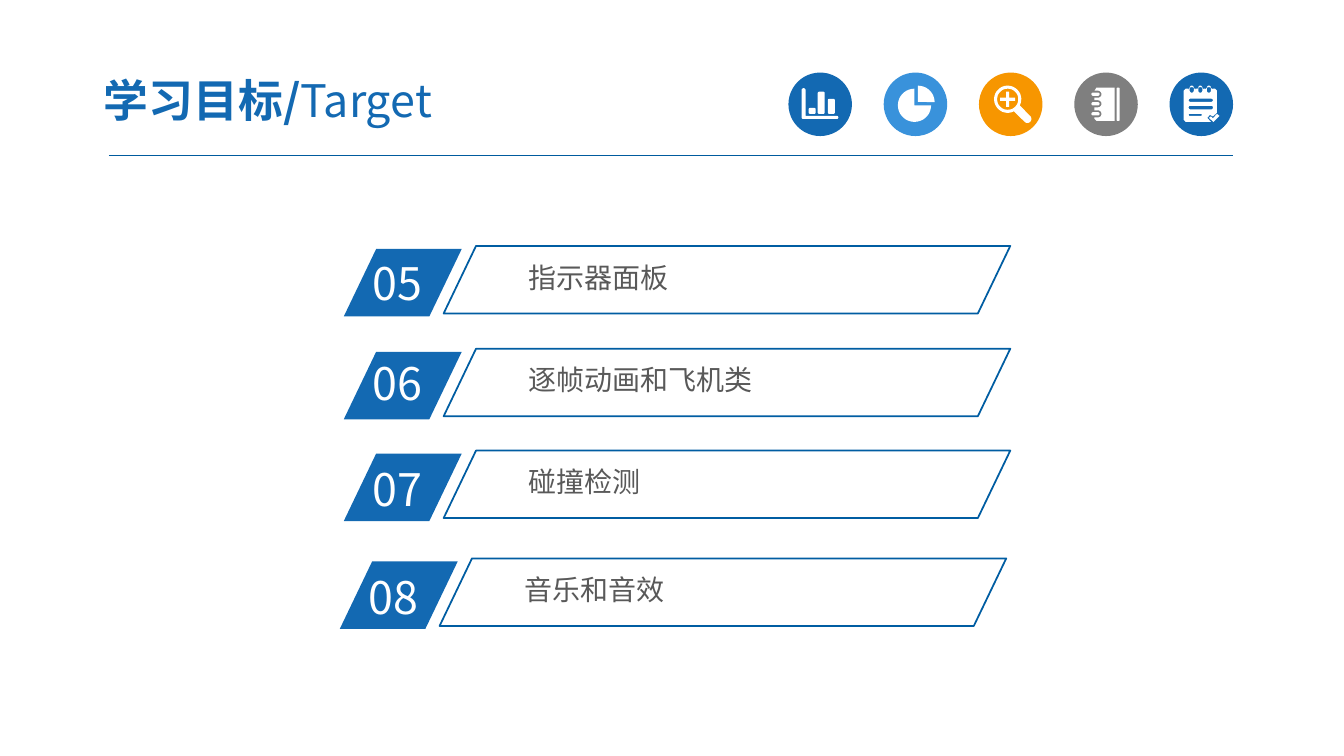
import math

import pptx
import pptx.util
import pptx.dml.color
import pptx.enum.shapes
import pptx.enum.text
import pptx.oxml.ns
from lxml import etree

RGBColor = pptx.dml.color.RGBColor
Inches = pptx.util.Inches
Pt = pptx.util.Pt
Kind = pptx.enum.shapes.MSO_SHAPE

BLUE = RGBColor(0x13, 0x69, 0xB2)
SKY = RGBColor(0x39, 0x92, 0xDB)
ORANGE = RGBColor(0xF7, 0x96, 0x00)
GRAY = RGBColor(0x7F, 0x7F, 0x7F)
TEXT_GRAY = RGBColor(0x59, 0x59, 0x59)
OUTLINE = RGBColor(0x00, 0x5D, 0xA2)
RULE = RGBColor(0x00, 0x5B, 0x9E)
WHITE = RGBColor(0xFF, 0xFF, 0xFF)
FONT = "Noto Sans CJK SC"

TITLE = [("学习目标/", True), ("Target", False)]

# number, label, left of the row, top of the row, drop of the number
GOALS = [
    ("05", "指示器面板", 3.41, 2.44, 0.05),
    ("06", "逐帧动画和飞机类", 3.41, 3.46, 0.02),
    ("07", "碰撞检测", 3.41, 4.47, 0.06),
    ("08", "音乐和音效", 3.37, 5.54, 0.06),
]

ICON_LEFT, ICON_TOP, ICON_SIZE, ICON_PITCH = 7.82, 0.72, 0.63, 0.945
NOTEBOOK_RINGS = (21.5, 31, 41)
NOTEPAD_RINGS = (22, 30.5, 39)


def arc(x, y, radius, start, end):
    """Points along an arc around (x, y); degrees run clockwise from the right."""
    steps = max(4, round(abs(end - start) / 10))
    angles = [math.radians(start + (end - start) * i / steps)
              for i in range(steps + 1)]
    return [(x + radius * math.cos(a), y + radius * math.sin(a)) for a in angles]


def rounded(left, top, width, height, radius=1.5):
    right, bottom = left + width - radius, top + height - radius
    left, top = left + radius, top + radius
    return (arc(left, top, radius, 180, 270) + arc(right, top, radius, 270, 360)
            + arc(right, bottom, radius, 0, 90) + arc(left, bottom, radius, 90, 180))


# Icon contours in hundredths of an inch inside the disc
CHART = [
    arc(15, 17.5, 2, 180, 360) + [(17, 43)] + arc(48, 44.5, 1.5, -90, 90)
    + arc(14.5, 44.5, 1.5, 90, 180),
    rounded(20, 35, 7, 6), rounded(29, 19, 7, 22), rounded(39, 26, 7, 15),
]
PIE = [
    [(34, 29)] + arc(34, 29.5, 16.5, -90, 0),
    [(30.5, 32.5)] + arc(30.5, 32.5, 16.5, 0, 270),
]
MAGNIFIER = [
    arc(28.5, 26.5, 13.5, 63, 387) + arc(48, 46, 4, -45, 135),
    arc(28.5, 26.5, 10.5, 0, 360),
    [(27, 19), (30, 19), (30, 25), (36, 25), (36, 28), (30, 28),
     (30, 34), (27, 34), (27, 28), (21, 28), (21, 25), (27, 25)],
]
notebook_body = [(22, 15), (40, 15), (40, 48), (22, 48), (20, 46)]
for ring in reversed(NOTEBOOK_RINGS):
    notebook_body += [(20, ring + 3.5), *arc(23.5, ring, 3.5, 90, -90),
                      (20, ring - 3.5)]
NOTEBOOK = [notebook_body, rounded(42, 15, 3, 33, 1)]
NOTEBOOK += [rounded(17, ring - 1.6, 8, 3.2) for ring in NOTEBOOK_RINGS]

notepad_body = [(14, 18), (16, 16)]
for ring in NOTEPAD_RINGS:
    notepad_body += [(ring - 3.5, 16), *arc(ring, 18, 3.5, 180, 360),
                     (ring + 3.5, 16)]
notepad_body += [(45, 16), (47, 18), (47, 40), (43, 43.5), (40, 42),
                 (37.5, 45), (41, 49), (16, 49), (14, 47)]
NOTEPAD = [
    notepad_body,
    rounded(19, 26, 24, 3), rounded(19, 33, 24, 3.5),
    rounded(19, 41, 13, 2, 1),
    [(39, 45), (41, 43.5), (43, 45.5), (47, 41), (49.5, 43), (43.5, 49)],
]
NOTEPAD += [rounded(ring - 2, 13, 4, 7, 2) for ring in NOTEPAD_RINGS]
ICONS = [(BLUE, CHART), (SKY, PIE), (ORANGE, MAGNIFIER),
         (GRAY, NOTEBOOK), (BLUE, NOTEPAD)]


def paint(shape, fill=None, line=None):
    shape.shadow.inherit = False
    if fill is None:
        shape.fill.background()
    else:
        shape.fill.solid()
        shape.fill.fore_color.rgb = fill
    if line is None:
        shape.line.fill.background()
    else:
        shape.line.color.rgb = line
        shape.line.width = Pt(1.25)


def add_shape(kind, left, top, width, height, fill=None, line=None):
    shape = page.shapes.add_shape(
        kind, Inches(left), Inches(top), Inches(width), Inches(height))
    paint(shape, fill, line)
    return shape


def add_span(para, text, size, colour, bold=False):
    span = para.add_run()
    span.text = text
    span.font.size = Pt(size)
    span.font.bold = bold
    span.font.color.rgb = colour
    span.font.name = FONT
    east_asian = etree.SubElement(span.font._element, pptx.oxml.ns.qn("a:ea"))
    east_asian.set("typeface", FONT)


def set_insets(frame, side, end):
    frame.margin_left = frame.margin_right = Inches(side)
    frame.margin_top = frame.margin_bottom = Inches(end)


def add_text(text, left, top, width, height, size, colour, insets):
    box = page.shapes.add_textbox(
        Inches(left), Inches(top), Inches(width), Inches(height))
    frame = box.text_frame
    frame.word_wrap = True
    set_insets(frame, *insets)
    add_span(frame.paragraphs[0], text, size, colour)


def add_title():
    title = page.shapes.title
    title.left, title.top = Inches(0.9), Inches(0.63)
    title.width, title.height = Inches(5.22), Inches(0.72)
    frame = title.text_frame
    frame.word_wrap = True
    frame.auto_size = pptx.enum.text.MSO_AUTO_SIZE.NONE
    frame.vertical_anchor = pptx.enum.text.MSO_ANCHOR.MIDDLE
    set_insets(frame, 0.13, 0.07)
    para = frame.paragraphs[0]
    para.alignment = pptx.enum.text.PP_ALIGN.LEFT
    for text, bold in TITLE:
        add_span(para, text, 32, BLUE, bold)


def add_rule():
    rule = page.shapes.add_connector(
        pptx.enum.shapes.MSO_CONNECTOR.STRAIGHT,
        Inches(1.08), Inches(1.54), Inches(12.23), Inches(1.54))
    rule.line.color.rgb = RULE
    rule.line.width = Pt(0.75)
    etree.SubElement(rule._element.spPr, pptx.oxml.ns.qn("a:effectLst"))


def add_icon(index, colour, contours):
    left = ICON_LEFT + index * ICON_PITCH
    add_shape(Kind.OVAL, left, ICON_TOP, ICON_SIZE, ICON_SIZE, colour)
    # Local units are thousandths of an inch, as points are rounded to whole units
    contours = [[(x * 10, y * 10) for x, y in points] for points in contours]
    builder = page.shapes.build_freeform(*contours[0][0], scale=Inches(1) / 1000)
    builder.add_line_segments(contours[0][1:], close=True)
    for points in contours[1:]:
        builder.move_to(*points[0])
        builder.add_line_segments(points[1:], close=True)
    paint(builder.convert_to_shape(Inches(left), Inches(ICON_TOP)), WHITE)


def add_goal(number, label, left, top, drop):
    tile = add_shape(Kind.PARALLELOGRAM, left, top + 0.03, 1.17, 0.67, BLUE)
    frame = add_shape(
        Kind.PARALLELOGRAM, left + 0.99, top, 5.62, 0.67, line=OUTLINE)
    for shape in (tile, frame):
        shape.adjustments[0] = 0.48
    add_text(number, left + 0.19, top + drop, 1.12, 0.64, 32, WHITE, (0.1, 0.05))
    add_text(label, left + 1.76, top + 0.1, 4.12, 0.41, 20, TEXT_GRAY,
             (0.07, 0.04))


deck = pptx.Presentation()
deck.slide_width, deck.slide_height = Inches(13.33), Inches(7.5)
page = deck.slides.add_slide(deck.slide_layouts[5])
add_title()
add_rule()
for icon_index, (icon_colour, icon_contours) in enumerate(ICONS):
    add_icon(icon_index, icon_colour, icon_contours)
for goal in GOALS:
    add_goal(*goal)
deck.save("out.pptx")
